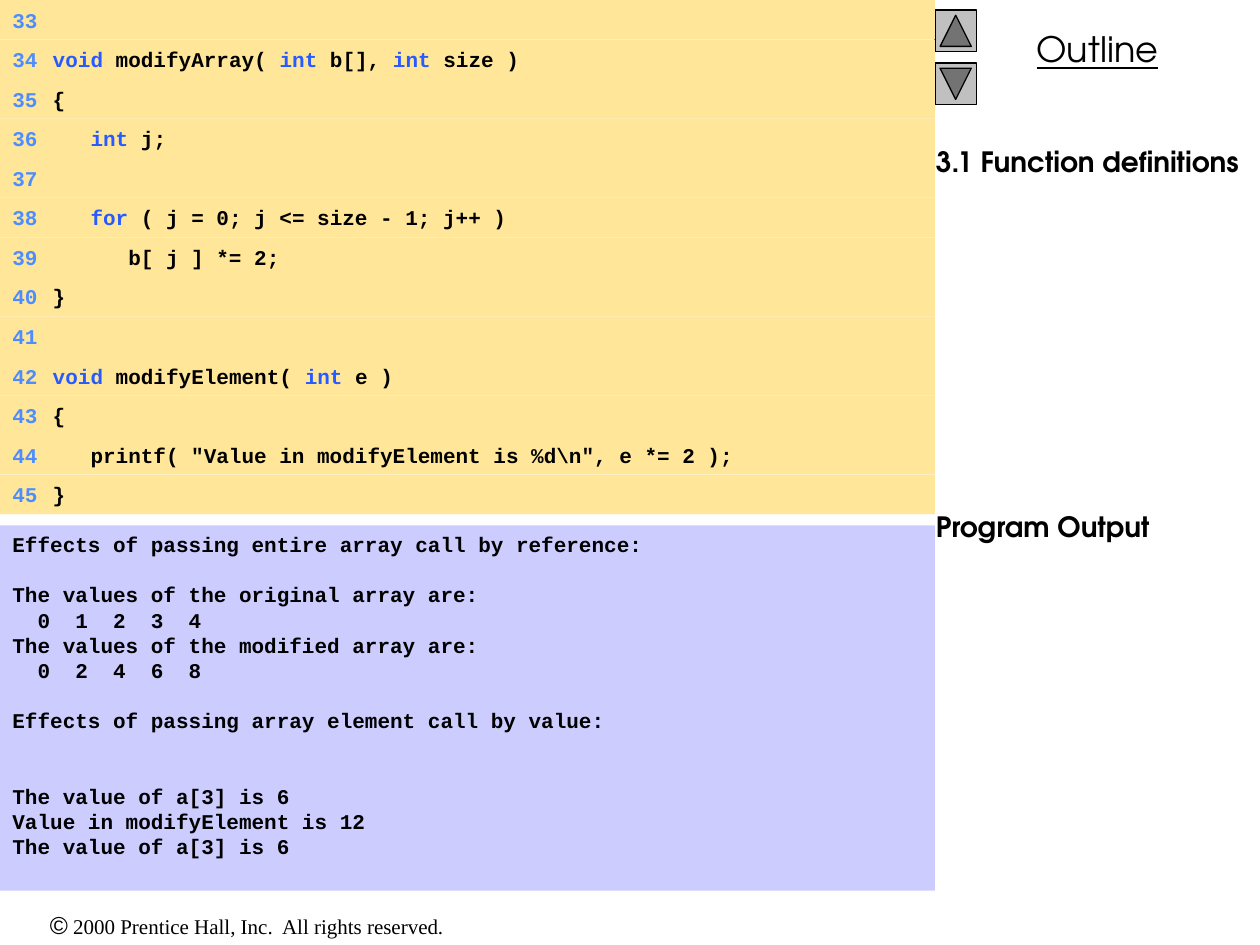
"""Build the code listing slide with its program output and outline."""
import pptx
import pptx.dml.color
import pptx.enum.shapes
import pptx.enum.text
import pptx.util

RGB = pptx.dml.color.RGBColor
Inches = pptx.util.Inches
Pt = pptx.util.Pt
Shape = pptx.enum.shapes.MSO_SHAPE
Align = pptx.enum.text.PP_ALIGN
Anchor = pptx.enum.text.MSO_ANCHOR

BLACK = RGB(0x00, 0x00, 0x00)
GREY = RGB(0xC0, 0xC0, 0xC0)
CREAM = RGB(0xFF, 0xE6, 0x99)
LILAC = RGB(0xCC, 0xCC, 0xFF)
SKY = RGB(0x4D, 0x8D, 0xFF)
BLUE = RGB(0x27, 0x5A, 0xFF)

MONO = "Courier New"
SANS = "TeX Gyre Adventor"

WIDE = 7.42
START = 33
ROW = 4.08 / 13
LINE = 14.4

CODE = [
    "",
    "|void| modifyArray( |int| b[], |int| size )",
    "{",
    "   |int| j;",
    "",
    "   |for| ( j = 0; j <= size - 1; j++ )",
    "      b[ j ] *= 2;",
    "}",
    "",
    "|void| modifyElement( |int| e )",
    "{",
    '   printf( "Value in modifyElement is %d\\n", e *= 2 );',
    "}",
]

OUTPUT = [
    ("Effects of passing entire array call by reference:", 0),
    ("The values of the original array are:", 1),
    ("  0  1  2  3  4", 0),
    ("The values of the modified array are:", 0),
    ("  0  2  4  6  8", 0),
    ("Effects of passing array element call by value:", 1),
    ("The value of a[3] is 6", 2),
    ("Value in modifyElement is 12", 0),
    ("The value of a[3] is 6", 0),
]


class Page:
    """Hold the slide and the style of its elements."""

    def __init__(self, deck):
        self.slide = deck.slides.add_slide(deck.slide_layouts[5])

    def style(self, run, face, size, color=BLACK, bold=False):
        font = run.font
        font.name, font.size, font.bold = face, Pt(size), bold
        font.color.rgb = color

    def title(self, text, x, y, w, h):
        box = self.slide.shapes.title
        box.left, box.top, box.width, box.height = map(Inches, (x, y, w, h))
        frame = box.text_frame
        frame.text = text
        frame.vertical_anchor = Anchor.TOP
        para = frame.paragraphs[0]
        para.alignment = Align.CENTER
        self.style(para.runs[0], SANS, 20)
        para.runs[0].font.underline = True

    def text(self, x, y, w, h):
        box = self.slide.shapes.add_textbox(*map(Inches, (x, y, w, h)))
        box.text_frame.word_wrap = True
        return box.text_frame

    def heads(self, lines, gap, *place):
        frame = self.text(*place)
        frame.text = "\n".join(lines)
        for i, para in enumerate(frame.paragraphs):
            para.space_before = Pt(gap if i else 0)
            self.style(para.runs[0], SANS, 16, bold=True)

    def footer(self, sign, words, *place):
        para = self.text(*place).paragraphs[0]
        para.alignment = Align.CENTER
        for text, face, size in ((sign, "Arial", 14), (words, "Times New Roman", 12)):
            run = para.add_run()
            run.text = text
            self.style(run, face, size)

    def button(self, x, y, side, turn):
        kind = Shape.ACTION_BUTTON_BACK_OR_PREVIOUS
        shape = self.slide.shapes.add_shape(kind, *map(Inches, (x, y, side, side)))
        shape.shadow.inherit = False
        shape.rotation = turn
        shape.fill.solid()
        shape.fill.fore_color.rgb = GREY
        shape.line.color.rgb = BLACK
        shape.line.width = Pt(0.75)

    def panel(self, y, h, color, anchor):
        shape = self.slide.shapes.add_shape(
            Shape.RECTANGLE, 0, Inches(y), Inches(WIDE), Inches(h))
        shape.shadow.inherit = False
        shape.fill.solid()
        shape.fill.fore_color.rgb = color
        shape.line.fill.background()
        frame = shape.text_frame
        frame.word_wrap = True
        frame.vertical_anchor = anchor
        return frame

    def code(self, index, line):
        para = self.panel(index * ROW, ROW, CREAM, Anchor.MIDDLE).paragraphs[0]
        para.alignment = Align.LEFT
        tabs = para._p.get_or_add_pPr().makeelement(
            pptx.oxml.ns.qn("a:tabLst"), {})
        stop = tabs.makeelement(
            pptx.oxml.ns.qn("a:tab"), {"pos": str(Inches(0.32)), "algn": "l"})
        tabs.append(stop)
        para._p.get_or_add_pPr().append(tabs)
        para.text = f"{START + index}\t"
        self.style(para.runs[0], MONO, 12, SKY, True)
        for i, part in enumerate(line.split("|")):
            if part:
                run = para.add_run()
                run.text = part
                self.style(run, MONO, 12, BLUE if i % 2 else BLACK, True)

    def output(self, y, h, lines):
        frame = self.panel(y, h, LILAC, Anchor.TOP)
        frame.text = "\n".join(text for text, gap in lines)
        for para, (text, gap) in zip(frame.paragraphs, lines):
            para.alignment = Align.LEFT
            para.line_spacing = Pt(LINE)
            para.space_before = Pt(gap * LINE)
            self.style(para.runs[0], MONO, 12, bold=True)


def main():
    deck = pptx.Presentation()
    deck.slide_width, deck.slide_height = Inches(10), Inches(7.5)
    page = Page(deck)
    page.footer("©", " 2000 Prentice Hall, Inc.  All rights reserved.",
                0, 7.17, 3.92, 0.34)
    page.title("Outline", WIDE, 0.17, 2.58, 0.44)
    page.button(WIDE, 0.08, 0.33, 90)
    page.button(WIDE, 0.5, 0.33, 270)
    page.heads(["3.1 Function definitions", "Program Output"], 189.4,
               7.33, 1.1, 2.67, 3.3)
    for index, line in enumerate(CODE):
        page.code(index, line)
    page.output(4.17, 2.9, OUTPUT)
    deck.save("out.pptx")


if __name__ == "__main__":
    main()
